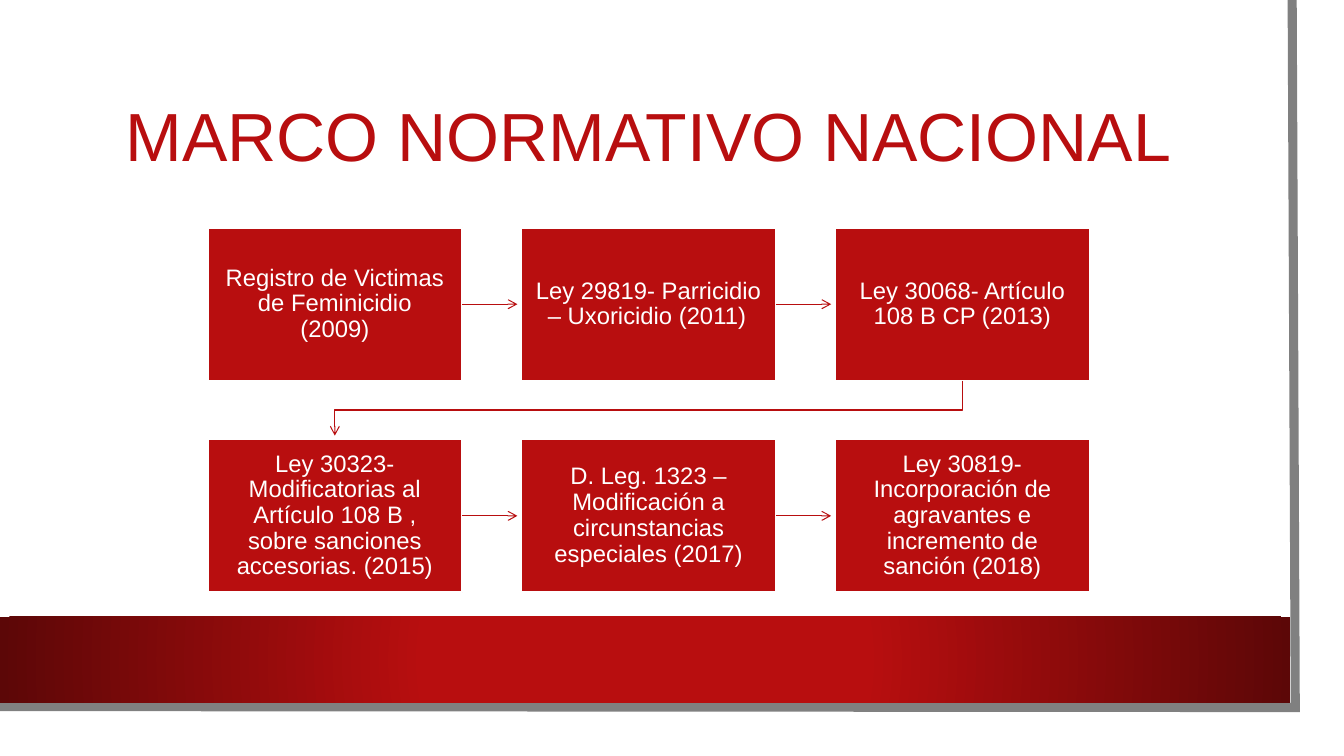
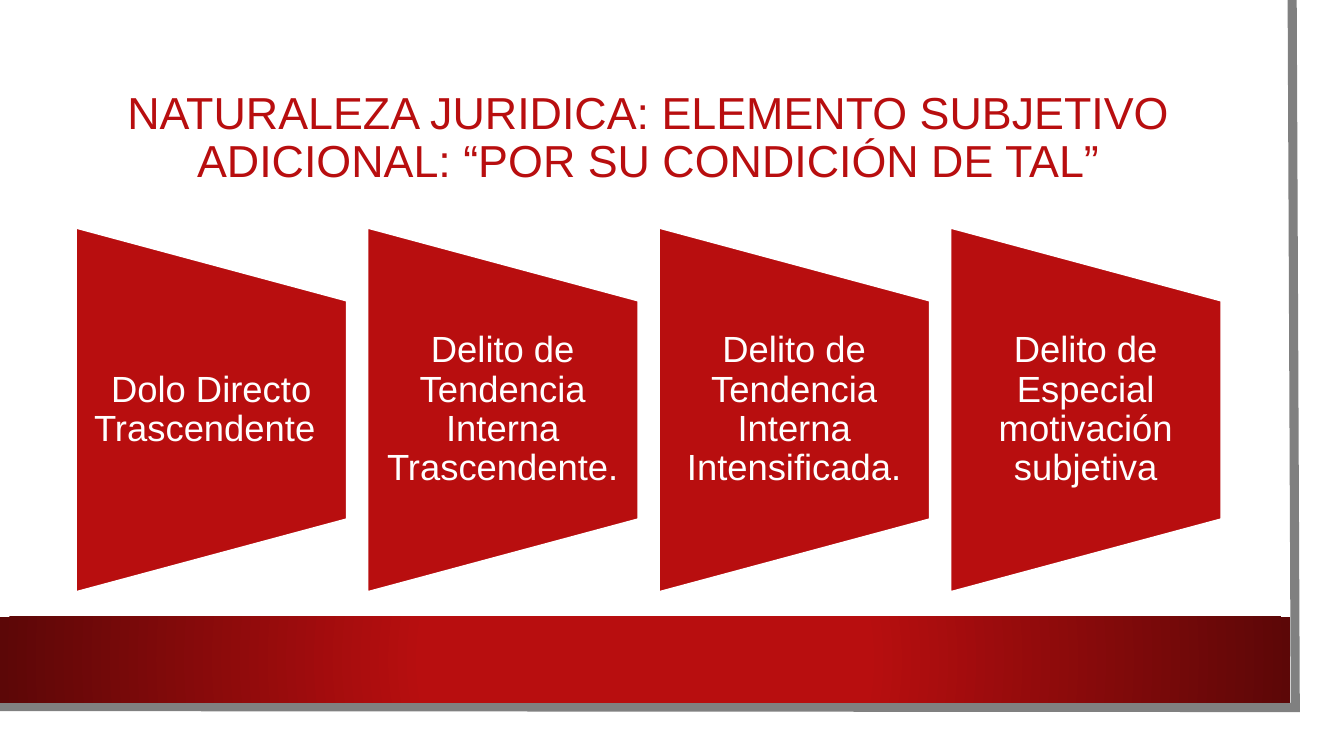
from dataclasses import dataclass

from lxml import etree
from pptx import Presentation
from pptx.dml.color import RGBColor
from pptx.enum.shapes import MSO_CONNECTOR, MSO_SHAPE as Preset
from pptx.enum.text import MSO_ANCHOR as Anchor, MSO_AUTO_SIZE as AutoSize, PP_ALIGN as Align
from pptx.oxml.ns import qn
from pptx.util import Pt

RED = RGBColor(0xB8, 0x0E, 0x0F)
DARK_RED = RGBColor(0x5C, 0x07, 0x07)
GREY = RGBColor(0x80, 0x80, 0x80)
WHITE = RGBColor(0xFF, 0xFF, 0xFF)
FONT = "Arial"
BOTTOM, RIGHT = 2, 3


@dataclass(frozen=True)
class Area:
    left: float
    top: float
    width: float
    height: float

    @property
    def center_x(self) -> float:
        return self.left + self.width / 2

    @property
    def center_y(self) -> float:
        return self.top + self.height / 2

    @property
    def bottom(self) -> float:
        return self.top + self.height

    def moved(self, dx: float, dy: float = 0) -> "Area":
        return Area(self.left + dx, self.top + dy, self.width, self.height)

    def emu(self) -> tuple:
        return Pt(self.left), Pt(self.top), Pt(self.width), Pt(self.height)


TITLE_AREA = Area(54, 54, 818.6, 90.7)
BAND_AREA = Area(0, 440.6, 921.6, 61.4)

FIRST_LAW = Area(148.2, 162.7, 182, 109.2)
LAW_COLUMNS = 3
LAW_DX, LAW_DY = 224.1, 151.2
ARROW_GAP = 2.7
LAWS = (
    "Registro de Victimas de Feminicidio (2009)",
    "Ley 29819- Parricidio – Uxoricidio (2011)\t",
    "Ley 30068- Artículo 108 B CP (2013)",
    "Ley 30323- Modificatorias al Artículo 108 B , sobre sanciones accesorias. (2015)",
    "D. Leg. 1323 – Modificación a circunstancias especiales (2017)",
    "Ley 30819- Incorporación de agravantes e incremento de sanción (2018)",
)

FIRST_OFFENCE = Area(54.2, 214.6, 193.6, 156.4)
OFFENCE_DX = 208.2
OFFENCE_HEIGHT = 260.4
OFFENCES = (
    "Dolo Directo Trascendente\t",
    "Delito de Tendencia Interna Trascendente.",
    "Delito de Tendencia Interna Intensificada.",
    "Delito de Especial motivación subjetiva",
)


def write(frame, text: str, size: float, color: RGBColor,
          inset_x: float = 7.2, inset_y: float = 3.6) -> None:
    frame.word_wrap = True
    frame.auto_size = AutoSize.NONE
    frame.vertical_anchor = Anchor.MIDDLE
    frame.margin_left = frame.margin_right = Pt(inset_x)
    frame.margin_top = frame.margin_bottom = Pt(inset_y)
    paragraph = frame.paragraphs[0]
    paragraph.alignment = Align.CENTER
    paragraph.line_spacing = 0.9
    run = paragraph.add_run()
    run.text = text
    run.font.name = FONT
    run.font.size = Pt(size)
    run.font.color.rgb = color


def add_red_shape(slide, preset, area: Area):
    shape = slide.shapes.add_shape(preset, *area.emu())
    shape.shadow.inherit = False
    shape.fill.solid()
    shape.fill.fore_color.rgb = RED
    shape.line.color.rgb = WHITE
    shape.line.width = Pt(1.5)
    return shape


def style_line(shape, color: RGBColor, width: float, ending: str, **attributes: str) -> None:
    """Colour an outline and add its join or arrowhead element."""
    shape.line.color.rgb = color
    shape.line.width = Pt(width)
    outline = shape.element.spPr.find(qn("a:ln"))
    etree.SubElement(outline, qn(ending), attributes)


def add_polyline(slide, points: list):
    corners = [(Pt(x), Pt(y)) for x, y in points]
    builder = slide.shapes.build_freeform(*corners[0], scale=1.0)
    builder.add_line_segments(corners[1:], close=False)
    polyline = builder.convert_to_shape()
    polyline.shadow.inherit = False
    polyline.fill.background()
    return polyline


def add_page_decor(slide, layout) -> None:
    """Draw the page edge and the band, then move them to the shared layout."""
    edge = add_polyline(slide, [(923, 0), (925.2, 505.4), (0, 504.7)])
    style_line(edge, GREY, 6.5, "a:miter", lim="800000")

    band = slide.shapes.add_shape(Preset.RECTANGLE, *BAND_AREA.emu())
    band.shadow.inherit = False
    band.line.fill.background()
    band.fill.gradient()
    for stop, position, color in zip(band.fill.gradient_stops, (0.34, 1), (RED, DARK_RED)):
        stop.position = position
        stop.color.rgb = color
    gradient = band.element.spPr.find(qn("a:gradFill"))
    gradient.remove(gradient.find(qn("a:lin")))
    circle = etree.SubElement(gradient, qn("a:path"), {"path": "circle"})
    etree.SubElement(circle, qn("a:fillToRect"), dict.fromkeys("ltrb", "50000"))

    for index, part in enumerate((edge, band), start=2):
        layout.shapes.element.insert(index, part.element)


def add_titled_slide(deck, layout, title: str, size: float):
    slide = deck.slides.add_slide(layout)
    heading = slide.shapes.title
    heading.left, heading.top, heading.width, heading.height = TITLE_AREA.emu()
    write(heading.text_frame, title, size, RED)
    return slide


def add_arrow(slide, law_box, area: Area) -> None:
    end_x = area.left + LAW_DX - ARROW_GAP
    arrow = slide.shapes.add_connector(
        MSO_CONNECTOR.STRAIGHT, Pt(area.left + area.width), Pt(area.center_y),
        Pt(end_x), Pt(area.center_y))
    arrow.begin_connect(law_box, RIGHT)
    style_line(arrow, RED, 0.75, "a:tailEnd", type="arrow")
    etree.SubElement(arrow.element.spPr, qn("a:effectLst"))


def add_row_turn(slide, start: Area, end: Area) -> None:
    """Lead from the last law of one row down to the first of the next."""
    middle = (start.bottom + end.top) / 2
    turn = add_polyline(slide, [
        (start.center_x, start.bottom), (start.center_x, middle),
        (end.center_x, middle), (end.center_x, end.top - ARROW_GAP)])
    style_line(turn, RED, 0.75, "a:tailEnd", type="arrow")


def add_laws(slide) -> None:
    areas = [FIRST_LAW.moved(i % LAW_COLUMNS * LAW_DX, i // LAW_COLUMNS * LAW_DY)
             for i in range(len(LAWS))]
    for i, (law, area) in enumerate(zip(LAWS, areas)):
        law_box = add_red_shape(slide, Preset.RECTANGLE, area)
        write(law_box.text_frame, law, 17, WHITE, 9.36, 9.36)
        if (i + 1) % LAW_COLUMNS:
            add_arrow(slide, law_box, area)
        elif i + 1 < len(LAWS):
            add_row_turn(slide, area, areas[i + 1])


def add_offences(slide) -> None:
    for i, offence in enumerate(OFFENCES):
        area = FIRST_OFFENCE.moved(i * OFFENCE_DX)
        upright = Area(area.center_x - OFFENCE_HEIGHT / 2, area.center_y - area.width / 2,
                       OFFENCE_HEIGHT, area.width)
        add_red_shape(slide, Preset.FLOWCHART_MANUAL_OPERATION, upright).rotation = 270
        label = slide.shapes.add_textbox(*area.emu())
        write(label.text_frame, offence, 26, WHITE, 13, 0)


def main() -> None:
    deck = Presentation()
    deck.slide_width, deck.slide_height = Pt(960), Pt(540)
    layout = deck.slide_layouts.get_by_name("Title Only")

    laws = add_titled_slide(deck, layout, "MARCO NORMATIVO NACIONAL", 48.6)
    add_page_decor(laws, layout)
    add_laws(laws)

    offences = add_titled_slide(
        deck, layout,
        "NATURALEZA JURIDICA: ELEMENTO SUBJETIVO ADICIONAL: “POR SU CONDICIÓN DE TAL”", 32)
    add_offences(offences)

    deck.save("out.pptx")


if __name__ == "__main__":
    main()
